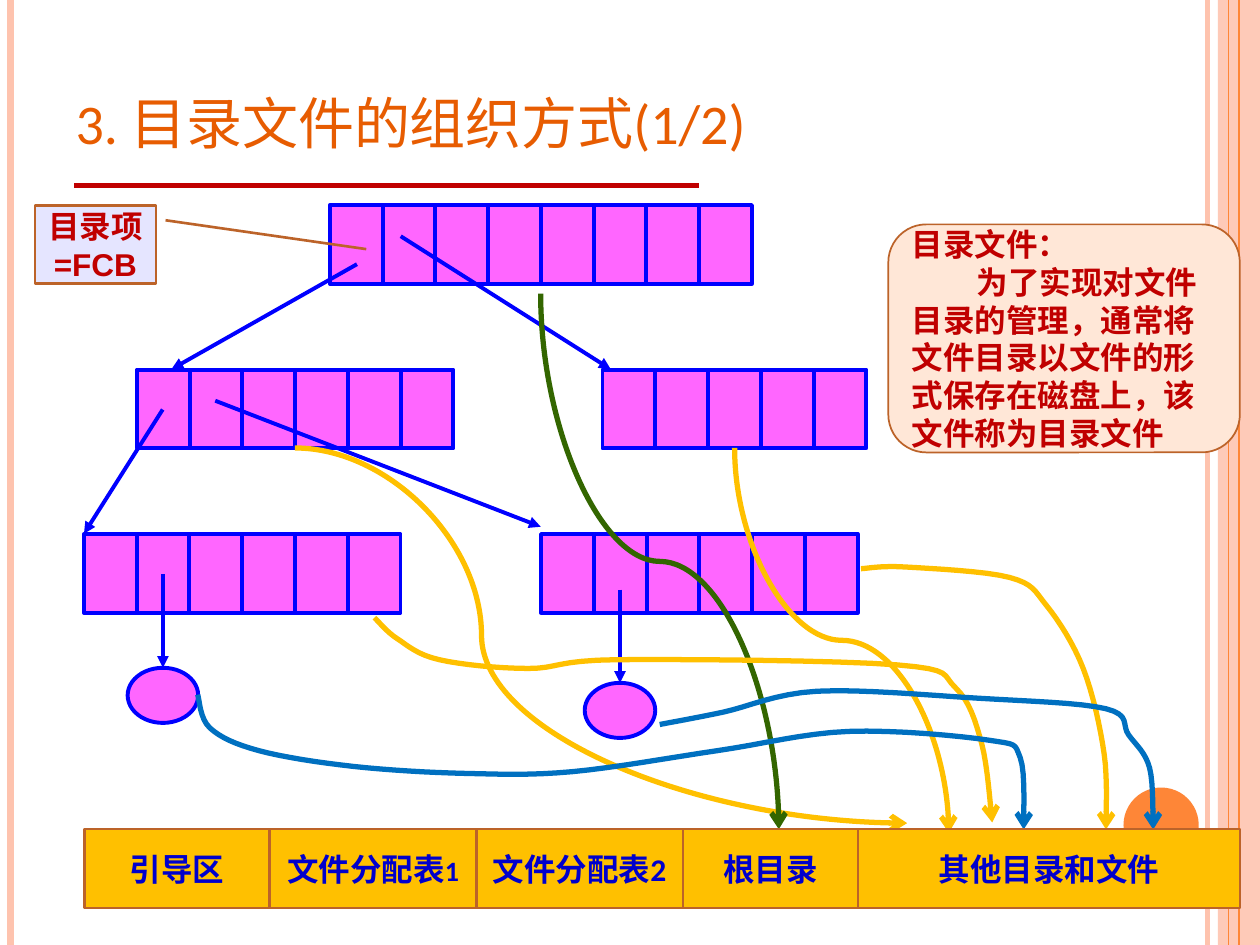
from pptx import Presentation
from pptx.dml.color import RGBColor
from pptx.enum.shapes import MSO_CONNECTOR, MSO_SHAPE
from pptx.enum.text import MSO_ANCHOR, MSO_AUTO_SIZE, PP_ALIGN
from pptx.oxml.ns import qn
from pptx.util import Pt
from lxml.etree import SubElement

PINK, BLUE, GOLD, SEA = "FF66FF", "0000FF", "FFC000", "0070C0"
RED, RUST, ROSE, FLAME = "C00000", "BC6329", "FEC3AE", "FE8637"
hue = RGBColor.from_string

deck = Presentation()
deck.slide_width, deck.slide_height = Pt(720), Pt(540)
slide = deck.slides.add_slide(deck.slide_layouts[5])
shapes = slide.shapes


def box(home, kind, x, y, w, h, fill, edge=None, wide=1):
    item = home.add_shape(kind, Pt(x), Pt(y), Pt(w), Pt(h))
    item.shadow.inherit = False
    item.fill.solid()
    item.fill.fore_color.rgb = hue(fill)
    if edge:
        item.line.color.rgb = hue(edge)
        item.line.width = Pt(wide)
    else:
        item.line.fill.background()
    return item


def wire(home, kind, x1, y1, x2, y2, tint, wide, tip=None):
    item = home.add_connector(kind, Pt(x1), Pt(y1), Pt(x2), Pt(y2))
    item.line.color.rgb = hue(tint)
    item.line.width = Pt(wide)
    if tip:
        SubElement(item.line._get_or_add_ln(), qn("a:tailEnd"), type=tip)
    SubElement(item._element.spPr, qn("a:effectLst"))
    return item


# Side bands and ball
STRAIGHT, CURVE = MSO_CONNECTOR.STRAIGHT, MSO_CONNECTOR.CURVE
band = box(shapes, MSO_SHAPE.RECTANGLE, 696, 0, 24, 540, ROSE)
tint = band._element.spPr.find(".//" + qn("a:srgbClr"))
SubElement(tint, qn("a:alpha"), val="87000")
for x, tone, wide in [(690, ROSE, 3), (6, ROSE, 4.5), (708, FLAME, 1.5), (702, FLAME, 0.75)]:
    wire(shapes, STRAIGHT, x, 0, x, 540, tone, wide)
box(shapes, MSO_SHAPE.OVAL, 642, 450, 43, 43, FLAME)

# Title and rule
title = shapes.title
title.left, title.top, title.width, title.height = Pt(36), Pt(21.6), Pt(588), Pt(72.7)
frame = title.text_frame
frame.auto_size = MSO_AUTO_SIZE.NONE
frame.vertical_anchor = MSO_ANCHOR.BOTTOM
para = frame.paragraphs[0]
para.alignment = PP_ALIGN.LEFT
run = para.add_run()
run.text = "3. 目录文件的组织方式(1/2)"
run.font.size, run.font.name = Pt(40), "Calibri"
run.font.color.rgb = hue("E75C01")
run._r.get_or_add_rPr().set("cap", "small")
wire(shapes, STRAIGHT, 42.5, 105.8, 399.6, 105.8, RED, 3)

# Directory tree: rows of entries
tree = shapes.add_group_shape().shapes
CELL, TALL, TOP, STEP = 30.15, 45, 117.2, 94
for x, level, count in [(188.5, 0, 8), (78.2, 1, 6), (344.3, 1, 5), (48, 2, 6), (309.2, 2, 6)]:
    for i in range(count):
        box(tree, MSO_SHAPE.RECTANGLE, x + i * CELL, TOP + level * STEP,
            CELL, TALL, PINK, BLUE, 2.25)

# Links between rows
for ends in [(204, 151, 98, 211), (229, 135, 349, 211), (93, 234, 48, 305), (123, 229, 309, 301)]:
    wire(tree, STRAIGHT, *ends, BLUE, 2.25, "triangle")

# Files under the leaves
for x, start, y in [(354.3, 337, 390.2), (93.1, 328, 381.6)]:
    oval = box(tree, MSO_SHAPE.OVAL, x - 20.15, y, 40.3, 31.5, PINK, BLUE, 2.25)
    link = wire(tree, STRAIGHT, x, start, x, y, BLUE, 2.25, "triangle")
    link.end_connect(oval, 0)

# Curves from directories to the disk
bend = wire(shapes, CURVE, 168.5, 256, 518.4, 470.4, GOLD, 3, "arrow")
guides = bend._element.spPr.find(qn("a:prstGeom")).get_or_add_avLst()
SubElement(guides, qn("a:gd"), name="adj1", fmla="val 30500")
for x1, y1, x2, y2, tone in [(419.8, 256, 542.2, 475.9, GOLD),
                             (308.9, 167.8, 445, 473.8, "336600")]:
    # Turned a quarter, so the box is laid on its side about the same centre
    midx, midy = (x1 + x2) / 2, (y1 + y2) / 2
    w, h = y2 - y1, x2 - x1
    bend = wire(shapes, CURVE, midx - w / 2, midy - h / 2,
                midx + w / 2, midy + h / 2, tone, 3, "arrow")
    frm = bend._element.spPr.find(qn("a:xfrm"))
    frm.set("rot", "16200000")
    frm.set("flipH", "1")

# Trails to the disk: a smooth line through a few points
trails = [
    (GOLD, [(214, 353), (227, 365), (251, 377), (302, 382), (353, 377), (513, 380),
            (546, 393), (561, 425), (567, 470)]),
    (GOLD, [(492, 325), (517, 324), (577, 330), (598, 346), (619, 382), (631, 431),
            (632, 474)]),
    (SEA, [(113, 397), (120, 416), (148, 429), (202, 438), (266, 442), (327, 441),
           (410, 429), (485, 418), (565, 423), (583, 433), (585, 474)]),
    (SEA, [(377, 414), (413, 407), (467, 395), (559, 399), (632, 405), (645, 420),
           (657, 439), (659, 474)]),
]
PARTS = 8
for tone, dots in trails:
    ends = [dots[0]] + dots + [dots[-1]]
    path = [dots[0]]
    for a, b, c, d in zip(ends, ends[1:], ends[2:], ends[3:]):
        for i in range(1, PARTS + 1):
            t = i / PARTS
            path.append([q + t * (r - p) / 2 + t ** 2 * (p - 2.5 * q + 2 * r - s / 2)
                         + t ** 3 * (3 * q - p - 3 * r + s) / 2
                         - t ** 2 * p * 0 for p, q, r, s in zip(a, b, c, d)])
    path = [(Pt(x), Pt(y)) for x, y in path]
    pen = shapes.build_freeform(*path[0], scale=1.0)
    pen.add_line_segments(path[1:], close=False)
    trail = pen.convert_to_shape()
    trail.shadow.inherit = False
    trail.fill.background()
    trail.line.color.rgb = hue(tone)
    trail.line.width = Pt(3)
    SubElement(trail.line._get_or_add_ln(), qn("a:tailEnd"), type="arrow")

# Note and callout
note = box(shapes, MSO_SHAPE.ROUNDED_RECTANGLE, 507.6, 128.2, 200.9, 130.3, "FFE7D7", RUST)
call = box(shapes, MSO_SHAPE.LINE_CALLOUT_1, 20, 117.4, 69.1, 44.6, "E5E5FF", RUST, 1.5)
for i, part in enumerate([0.19, -0.08, 0.56, -1.74]):
    call.adjustments[i] = part
call._element.spPr.find(qn("a:xfrm")).set("flipH", "1")
LEFT, MID = PP_ALIGN.LEFT, PP_ALIGN.CENTER
texts = [
    (note, LEFT, "Calibri", RED,
     [[("目录文件：", 18)],
      [("为了实现对文件目录的管理，通常将文件目录以文件的形式保存在磁盘上，该文件称为目录文件", 18)]]),
    (call, MID, "Arial", RED, [[("目录项=FCB", 18)]]),
]

# Disk layout
disk = shapes.add_group_shape().shapes
x = 48.2
for w, runs in [(106, [("引导区", 18)]), (118, [("文件分配表", 18), ("1", 16)]),
                (118, [("文件分配表2", 18)]), (100.2, [("根目录", 18)]),
                (218.2, [("其他目录和文件", 18)])]:
    zone = box(disk, MSO_SHAPE.RECTANGLE, x, 473.8, w, TALL, GOLD, RUST, 1.5)
    zone.text_frame.margin_left = zone.text_frame.margin_right = 0
    texts.append((zone, MID, "Calibri", "0000CC", [runs]))
    x += w

# Text of the note, callout and disk zones
for item, side, face, tone, paras in texts:
    frame = item.text_frame
    frame.word_wrap = True
    frame.vertical_anchor = MSO_ANCHOR.MIDDLE
    for i, runs in enumerate(paras):
        para = frame.add_paragraph() if i else frame.paragraphs[0]
        para.alignment = side
        if i:
            para._p.get_or_add_pPr().set("indent", str(Pt(37)))
        for words, size in runs:
            run = para.add_run()
            run.text = words
            run.font.size, run.font.name, run.font.bold = Pt(size), face, True
            run.font.color.rgb = hue(tone)

deck.save("out.pptx")
